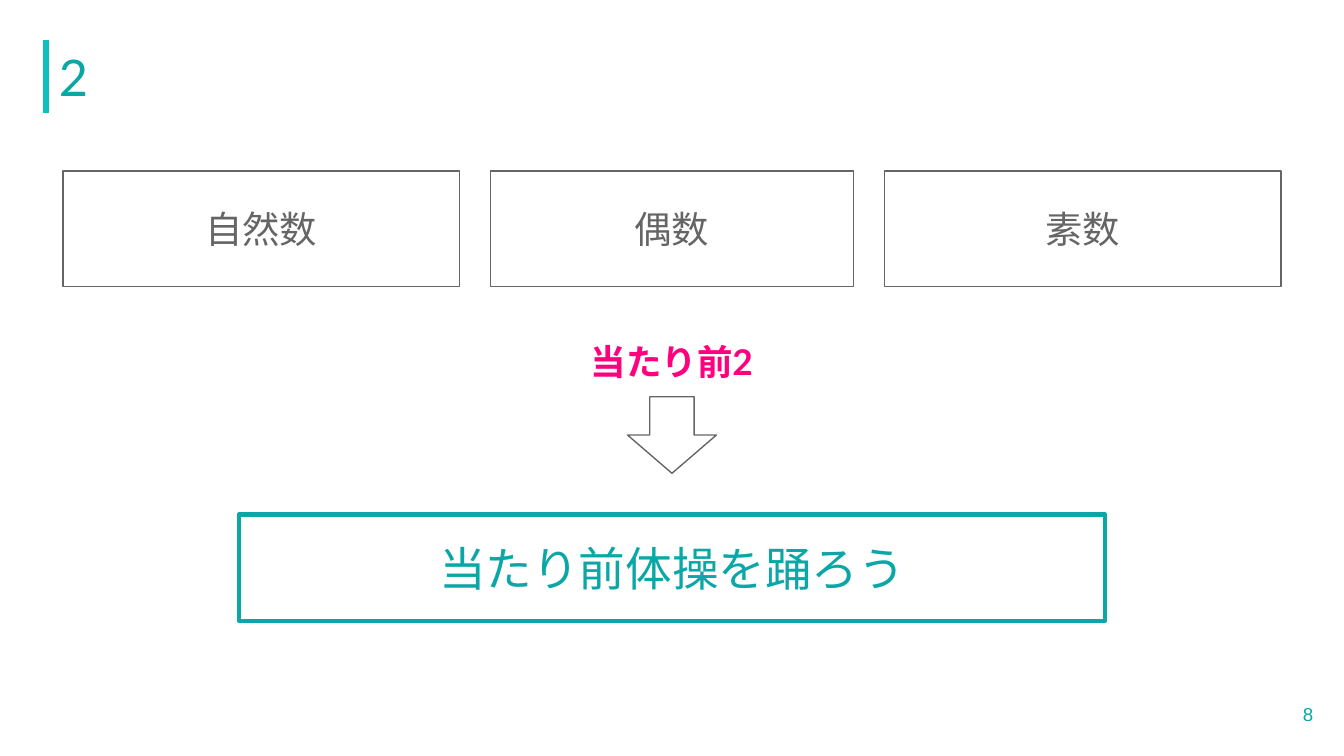
from lxml.etree import SubElement
from pptx import Presentation
from pptx.dml.color import RGBColor
from pptx.enum.shapes import MSO_CONNECTOR as Link, MSO_SHAPE as Kind
from pptx.enum.text import MSO_ANCHOR as Anchor, PP_ALIGN as Align
from pptx.oxml.ns import qn
from pptx.util import Pt

TEAL, AQUA, GRAY, PINK, WHITE = "0BA7A7", "0FBFBF", "656565", "FF007F", "FFFFFF"
WIDE, HIGH = 720, 405
PAD = 7.2

TERMS = [("自然数", 212.4), ("偶数", 194.4), ("素数", 212.4)]
LEFT, TOP, TALL, GAP = 33.8, 91.6, 62, 16.6

LABELS = [
    ("2", (24.5, 21.6, 671, 38.9), 27, "Lato", TEAL, Align.LEFT, Anchor.MIDDLE, False),
    ("当たり前2", (242, 175, 236, 37.4), 19, "Lato", PINK, Align.CENTER, Anchor.TOP, True),
    ("8", (667.4, 367.2, 43.2, 31), 10, "Arial", TEAL, Align.RIGHT, Anchor.MIDDLE, False),
]
CLAIM = "当たり前体操を踊ろう"


def paint(code):
    return RGBColor.from_string(code)


def write(shape, text, size, font, color, align=Align.CENTER, anchor=Anchor.MIDDLE, bold=False):
    frame = shape.text_frame
    frame.word_wrap = True
    frame.vertical_anchor = anchor
    frame.margin_left = frame.margin_right = Pt(PAD)
    frame.margin_top = frame.margin_bottom = Pt(PAD)
    para = frame.paragraphs[0]
    para.alignment = align
    run = para.add_run()
    run.text = text
    run.font.size = Pt(size)
    run.font.name = font
    run.font.bold = bold
    run.font.color.rgb = paint(color)


def draw(slide, kind, area, color, width, fill=None):
    shape = slide.shapes.add_shape(kind, *map(Pt, area))
    shape.shadow.inherit = False
    if fill:
        shape.fill.solid()
        shape.fill.fore_color.rgb = paint(fill)
    else:
        shape.fill.background()
    shape.line.color.rgb = paint(color)
    shape.line.width = Pt(width)
    return shape


def main():
    deck = Presentation()
    deck.slide_width, deck.slide_height = Pt(WIDE), Pt(HIGH)
    slide = deck.slides.add_slide(deck.slide_layouts[6])

    bar = slide.shapes.add_connector(Link.STRAIGHT, *map(Pt, (24.5, 21.6, 24.5, 60.5)))
    bar.line.color.rgb = paint(AQUA)
    bar.line.width = Pt(3)
    SubElement(bar._element.spPr, qn("a:effectLst"))

    left = LEFT
    for term, width in TERMS:
        box = draw(slide, Kind.RECTANGLE, (left, TOP, width, TALL), GRAY, 0.75)
        write(box, term, 20, "Lato", GRAY)
        left += width + GAP

    draw(slide, Kind.DOWN_ARROW, (336.2, 212.6, 47.6, 41), GRAY, 0.75)

    for text, area, *style in LABELS:
        write(slide.shapes.add_textbox(*map(Pt, area)), text, *style)

    claim = draw(slide, Kind.RECTANGLE, (128, 275.6, 464, 57), TEAL, 2.25, WHITE)
    write(claim, CLAIM, 25, "Lato", TEAL)

    deck.save("out.pptx")


if __name__ == "__main__":
    main()
